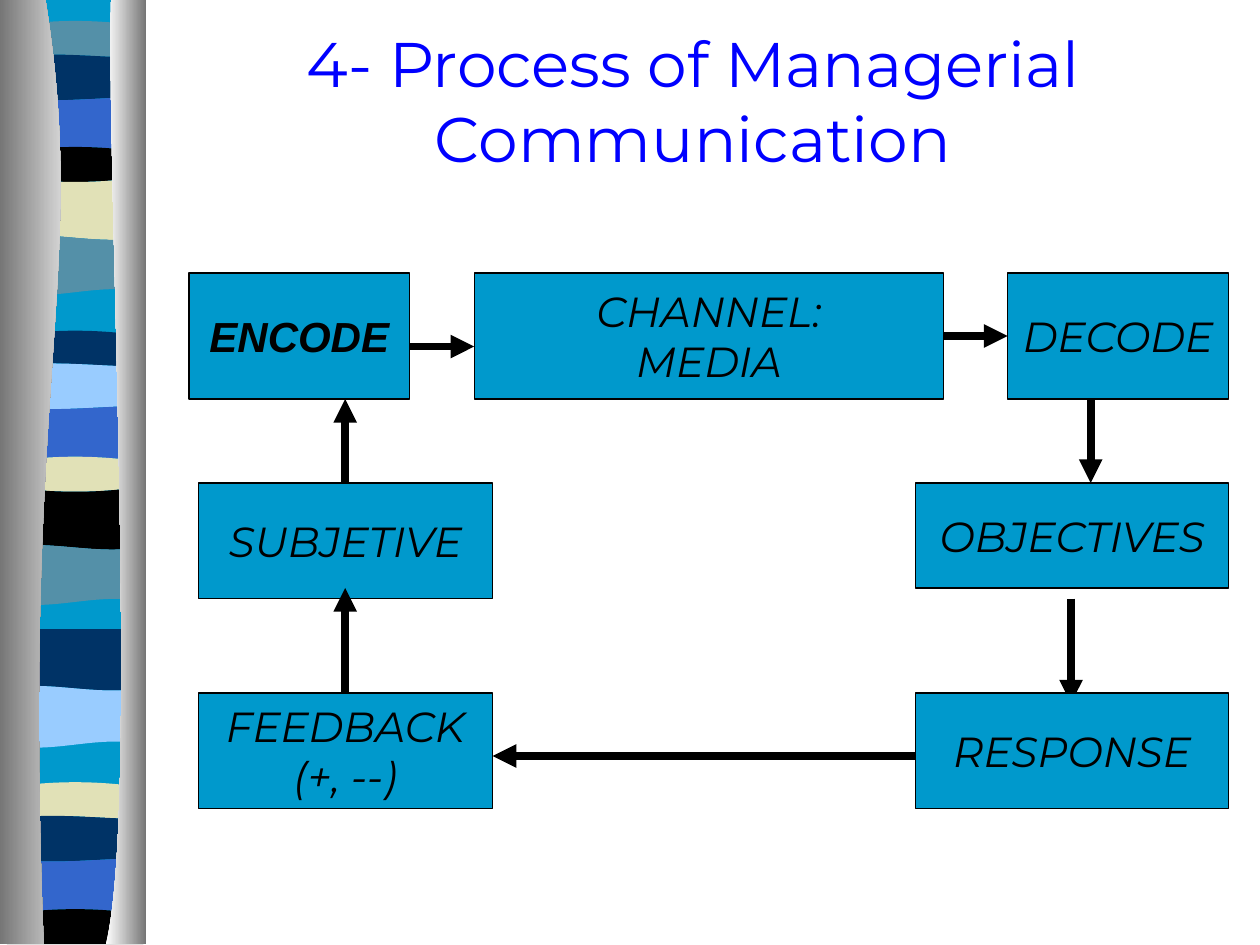
from lxml.etree import SubElement
from pptx import Presentation
from pptx.dml.color import RGBColor
from pptx.enum.shapes import MSO_CONNECTOR as Connector, MSO_SHAPE as Shape
from pptx.enum.text import MSO_ANCHOR as Anchor, MSO_AUTO_SIZE as AutoSize, PP_ALIGN as Align
from pptx.oxml.ns import qn
from pptx.util import Pt

BLACK = RGBColor(0x00, 0x00, 0x00)
WHITE = RGBColor(0xFF, 0xFF, 0xFF)
BLUE = RGBColor(0x00, 0x00, 0xFF)
CYAN = RGBColor(0x00, 0x99, 0xCC)
STEEL = RGBColor(0x54, 0x90, 0xA8)
NAVY = RGBColor(0x00, 0x33, 0x66)
ROYAL = RGBColor(0x33, 0x66, 0xCC)
SAND = RGBColor(0xE1, 0xE1, 0xB7)
SKY = RGBColor(0x99, 0xCC, 0xFF)
GREY = RGBColor(0x76, 0x76, 0x76)

FLAT, HUMP, SAG = (0, 0), (-4, -4), (4, 4)
ROLL, SWELL, CREST, DIP = (-4, 5), (6, -6), (-4, 0), (4, 0)
BANDS = [
    (CYAN, 0, FLAT), (STEEL, 15, HUMP), (NAVY, 33, CREST), (ROYAL, 55.5, DIP),
    (BLACK, 87, HUMP), (SAND, 101, SAG), (STEEL, 135.5, ROLL), (CYAN, 167, SWELL),
    (NAVY, 192, HUMP), (SKY, 209.5, CREST), (ROYAL, 232, DIP), (SAND, 264, HUMP),
    (BLACK, 278, SAG), (STEEL, 312.5, ROLL), (CYAN, 344, SWELL), (NAVY, 359.5, FLAT),
    (SKY, 393, ROLL), (CYAN, 425.5, SWELL), (SAND, 450, HUMP), (NAVY, 468, CREST),
    (ROYAL, 490.5, DIP), (BLACK, 522.5, HUMP),
]

BODY = dict(name="Montserrat", size=Pt(24), italic=True)
ENCODE = dict(BODY, name="Arial", bold=True)
HEADING = dict(name="Montserrat", size=Pt(36))
STEPS = [
    ("ENCODE", (108, 156, 126, 72), ENCODE),
    ("CHANNEL:\nMEDIA", (271, 156, 268.25, 72), BODY),
    ("DECODE", (575.75, 156, 126.25, 72), BODY),
    ("SUBJETIVE", (113.25, 276, 168.25, 66), BODY),
    ("OBJECTIVES", (523.25, 276, 178.75, 60), BODY),
    ("FEEDBACK\n(+, --)", (113.25, 396, 168.25, 66), BODY),
    ("RESPONSE", (523.25, 396, 178.75, 66), BODY),
]
RESPONSE_ARROW = (612, 342, 612, 402)
ARROWS = [
    (234, 198, 271, 198), (539.25, 192, 575.75, 192), (623.25, 228, 623.25, 276),
    (523.25, 432, 281.5, 432), (197.25, 396, 197.25, 336), (197.25, 276, 197.25, 228),
]


def add_outline(page, points, curves=()):
    """Add a closed outline whose listed segments start cubic curves."""
    start, *rest = [(x * 10, y * 10) for x, y in points]
    builder = page.shapes.build_freeform(*start, scale=Pt(0.1))
    builder.add_line_segments(rest, close=True)
    outline = builder.convert_to_shape()
    segments = list(outline._element.iter(qn("a:lnTo")))
    for first in curves:
        head, *controls = segments[first:first + 3]
        head.tag = qn("a:cubicBezTo")
        for control in controls:
            head.append(control[0])
            control.getparent().remove(control)
    outline.shadow.inherit = False
    outline.line.fill.background()
    return outline


def add_band(page, points, color, curves=()):
    """Add one plain band of the ribbon."""
    fill = add_outline(page, points, curves).fill
    fill.solid()
    fill.fore_color.rgb = color


def add_side(page, points, left_color, right_color):
    """Add a side panel shaded from left to right."""
    fill = add_outline(page, points, [0]).fill
    fill.gradient()
    fill.gradient_angle = 0
    for stop, color in zip(fill.gradient_stops, (left_color, right_color)):
        stop.color.rgb = color


def add_ribbon(page, left, top, width, height):
    """Add the striped ribbon between its two shaded sides."""
    right, bottom = left + width, top + height
    start, end = left + 4, right - 1.5
    third = (end - start) / 3
    edges = [
        [(start + third * step, top + y + bend) for step, bend in enumerate((0, *bends, 0))]
        for _, y, bends in BANDS + [(None, height, FLAT)]
    ]
    add_band(page, [(start, top), (end, top), (end, bottom), (start, bottom)], CYAN)
    for (color, _, _), upper, lower in zip(BANDS, edges, edges[1:]):
        if color != CYAN:
            add_band(page, upper + lower[::-1], color, [0, 4])
    add_side(page, [(left + 26, top), (left + 51, top + 156), (left + 12, top + 213),
                    (left + 25, bottom), (left, bottom), (left, top)], GREY, WHITE)
    add_side(page, [(right - 20, top), (right - 23, top + 90), (right - 3.5, top + 465),
                    (right - 23, bottom), (right, bottom), (right, top)], WHITE, GREY)


def write(frame, text, style, color):
    """Write centred paragraphs in one style."""
    frame.text = text
    frame.vertical_anchor = Anchor.MIDDLE
    for para in frame.paragraphs:
        para.alignment = Align.CENTER
        para.font.color.rgb = color
        for key, value in style.items():
            setattr(para.font, key, value)


def add_title(page, left, top, width, height):
    """Place and format the title."""
    title = page.shapes.title
    for key, value in dict(left=left, top=top, width=width, height=height).items():
        setattr(title, key, Pt(value))
    write(title.text_frame, "4- Process of Managerial Communication", HEADING, BLUE)
    title.text_frame.auto_size = AutoSize.NONE


def add_step(page, text, box, style):
    """Add one labelled step of the process."""
    step = page.shapes.add_shape(Shape.RECTANGLE, *map(Pt, box))
    step.shadow.inherit = False
    step.fill.solid()
    step.fill.fore_color.rgb = CYAN
    step.line.color.rgb = BLACK
    step.line.width = Pt(0.75)
    write(step.text_frame, text, style, BLACK)
    step.text_frame.word_wrap = False


def add_arrow(page, ends):
    """Add a thick arrow pointing at its second end."""
    arrow = page.shapes.add_connector(Connector.STRAIGHT, *map(Pt, ends))
    arrow.line.color.rgb = BLACK
    arrow.line.width = Pt(4.5)
    SubElement(arrow.line._get_or_add_ln(), qn("a:tailEnd"), type="triangle")
    SubElement(arrow._element.spPr, qn("a:effectLst"))


def add_process(page):
    """Add the communication loop."""
    add_arrow(page, RESPONSE_ARROW)
    for text, box, style in STEPS:
        add_step(page, text, box, style)
    for ends in ARROWS:
        add_arrow(page, ends)


def main():
    """Build and save the deck."""
    deck = Presentation()
    deck.slide_width, deck.slide_height = Pt(720), Pt(540)
    page = deck.slides.add_slide(deck.slide_layouts[5])
    add_ribbon(page, 0, 0, 83.5, 539.5)
    add_title(page, 102, 18, 588, 78)
    add_process(page)
    deck.save("out.pptx")


if __name__ == "__main__":
    main()
